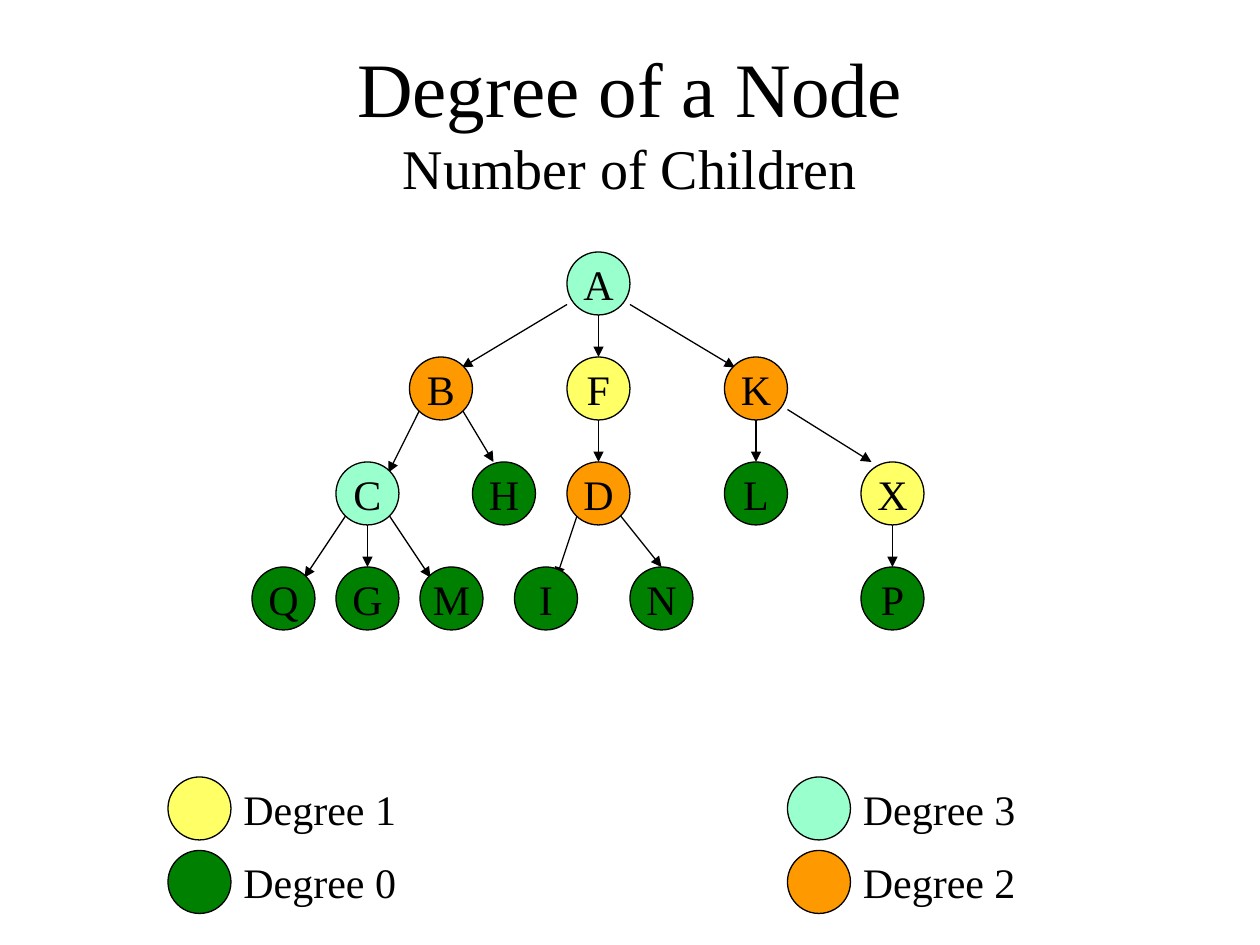
from collections import Counter

from lxml import etree
from pptx import Presentation
from pptx.dml.color import RGBColor
from pptx.enum.shapes import MSO_CONNECTOR, MSO_SHAPE
from pptx.enum.text import MSO_ANCHOR, PP_ALIGN
from pptx.oxml.ns import qn
from pptx.util import Inches, Pt

OVAL = MSO_SHAPE.OVAL
STRAIGHT = MSO_CONNECTOR.STRAIGHT
MIDDLE = MSO_ANCHOR.MIDDLE
CENTER = PP_ALIGN.CENTER

BLACK = RGBColor(0x00, 0x00, 0x00)
GREEN = RGBColor(0x00, 0x80, 0x00)
YELLOW = RGBColor(0xFF, 0xFF, 0x66)
ORANGE = RGBColor(0xFF, 0x99, 0x00)
MINT = RGBColor(0x99, 0xFF, 0xCC)
DEGREE_COLORS = [GREEN, YELLOW, ORANGE, MINT]

FONT = "Times New Roman"
DIAMETER = 6
TREE_TOP = 24
LEVEL_STEP = 10

deck = Presentation()
deck.slide_width = Inches(10)
deck.slide_height = Inches(7.5)
CELL = deck.slide_width / 120
slide = deck.slides.add_slide(deck.slide_layouts[6])


def grid(*cells):
    return [round(cell * CELL) for cell in cells]


def write(paragraph, text, size):
    run = paragraph.add_run()
    run.text = text
    run.font.name = FONT
    run.font.size = Pt(size)
    run.font.color.rgb = BLACK


branches = [
    ("A", "B", 54, 29, 44, 35),
    ("A", "F", 57, 30, 57, 34),
    ("A", "K", 60, 29, 70, 35),
    ("F", "D", 57, 40, 57, 44),
    ("C", "G", 35, 50, 35, 54),
    ("K", "X", 75, 39, 83, 44),
    ("K", "L", 72, 40, 72, 44),
    ("B", "C", 40, 39, 37, 45),
    ("B", "H", 44, 39, 47, 44),
    ("X", "P", 85, 50, 85, 54),
    ("D", "I", 55, 49, 53, 55),
    ("D", "N", 59, 49, 63, 54),
    ("C", "Q", 33, 49, 29, 55),
    ("C", "M", 37, 49, 41, 55),
]
for parent, child, *ends in branches:
    arrow = slide.shapes.add_connector(STRAIGHT, *grid(*ends))
    arrow.line.color.rgb = BLACK
    arrow.line.width = Pt(0.75)
    etree.SubElement(arrow.line._get_or_add_ln(), qn("a:tailEnd"), type="triangle")
    etree.SubElement(arrow._element.spPr, qn("a:effectLst"))

degrees = Counter(parent for parent, *rest in branches)
levels = [
    {"A": 54},
    {"B": 39, "F": 54, "K": 69},
    {"C": 32, "H": 45, "D": 54, "L": 69, "X": 82},
    {"Q": 24, "G": 32, "M": 40, "I": 49, "N": 60, "P": 82},
]
legend = [(1, 16, 74), (0, 16, 81), (3, 75, 74), (2, 75, 81)]

circles = [
    (letter, degrees[letter], left, TREE_TOP + depth * LEVEL_STEP)
    for depth, level in enumerate(levels)
    for letter, left in level.items()
]
circles += [("", *entry) for entry in legend]

for letter, degree, left, top in circles:
    node = slide.shapes.add_shape(OVAL, *grid(left, top, DIAMETER, DIAMETER))
    node.shadow.inherit = False
    node.fill.solid()
    node.fill.fore_color.rgb = DEGREE_COLORS[degree]
    node.line.color.rgb = BLACK
    node.line.width = Pt(0.75)
    if letter:
        frame = node.text_frame
        frame.word_wrap = False
        frame.vertical_anchor = MIDDLE
        frame.paragraphs[0].alignment = CENTER
        write(frame.paragraphs[0], letter, 24)

for degree, left, top in legend:
    label = slide.shapes.add_textbox(*grid(left + DIAMETER, top, 17, DIAMETER))
    label.text_frame.word_wrap = False
    write(label.text_frame.paragraphs[0], f"Degree {degree}", 24)

title = slide.shapes.add_textbox(*grid(9, 4, 102, 15)).text_frame
title.word_wrap = True
title.vertical_anchor = MIDDLE
heading = title.paragraphs[0]
heading.alignment = CENTER
write(heading, "Degree of a Node", 44)
heading.add_line_break()
write(heading, "Number of Children", 32)

deck.save("out.pptx")
